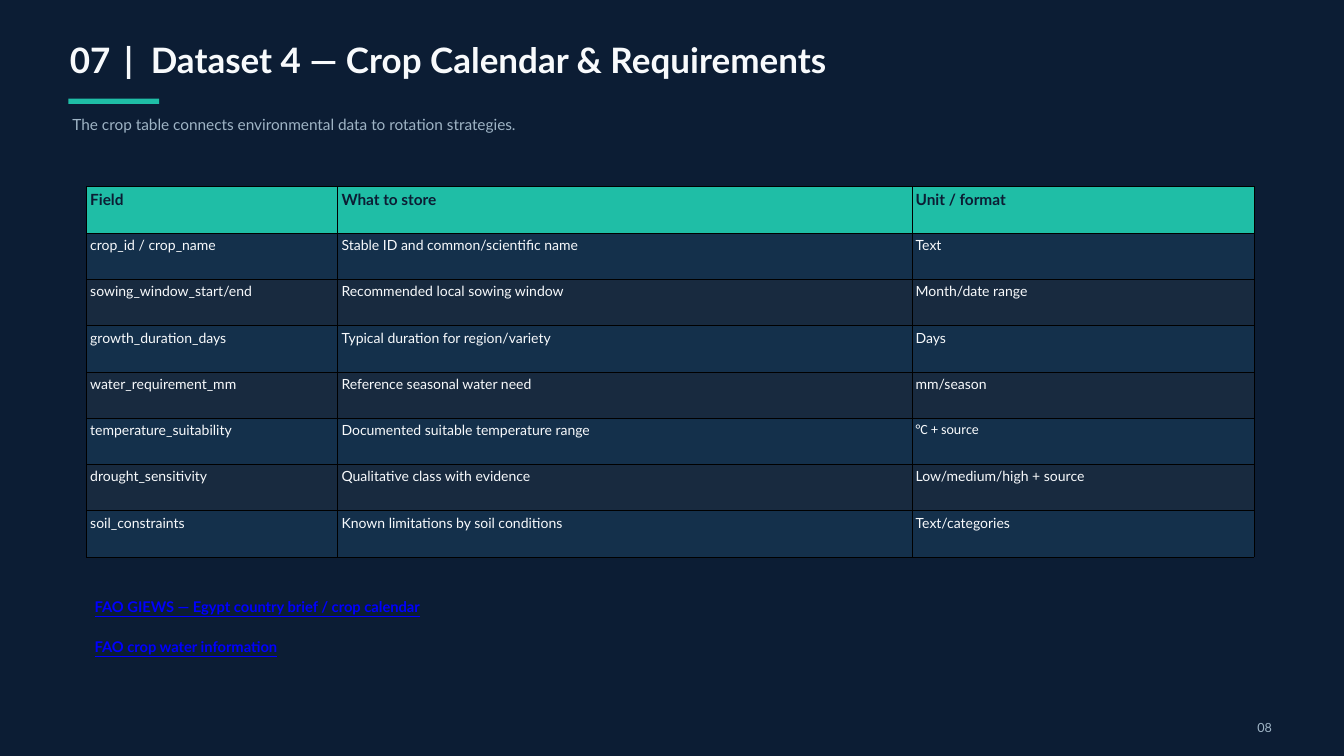
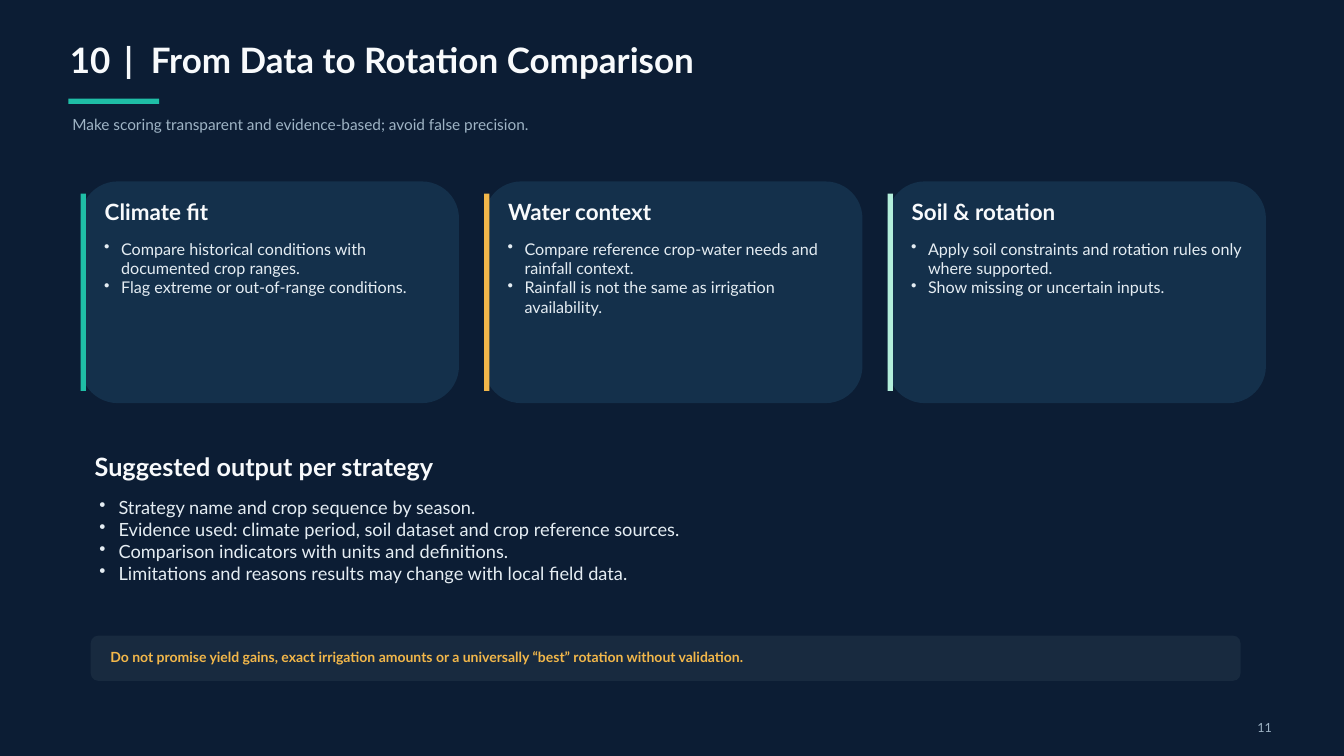
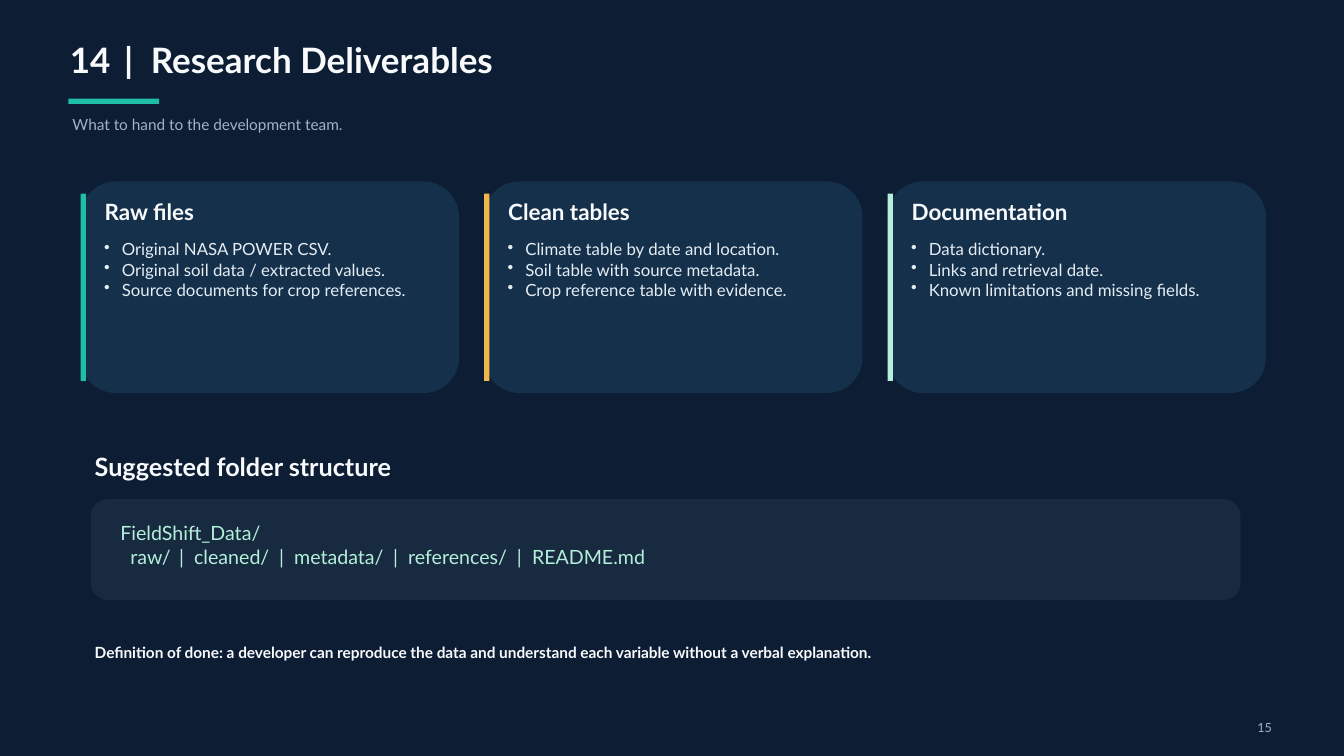
"""Build three slides on crop data, rotation comparison and research deliverables."""
from dataclasses import dataclass
from typing import NamedTuple

from lxml import etree
from pptx import Presentation
from pptx.dml.color import RGBColor
from pptx.enum.shapes import MSO_SHAPE
from pptx.enum.text import PP_ALIGN
from pptx.oxml.ns import qn
from pptx.slide import Slide
from pptx.util import Cm, Pt

RECT = MSO_SHAPE.RECTANGLE
ROUNDED = MSO_SHAPE.ROUNDED_RECTANGLE
LEFT = PP_ALIGN.LEFT
RIGHT = PP_ALIGN.RIGHT

FONT = "Lato"
SYMBOL_FONT = "Calibri"
COLORS = {
    "navy": "0C1D34",
    "card": "14304B",
    "panel": "182A3F",
    "teal": "1FBEA6",
    "amber": "F2B74A",
    "mint": "B4EFDB",
    "white": "F8FAFC",
    "body": "E5EDF3",
    "muted": "9FB4C5",
    "link": "0000FF",
    "border": "000000",
}
LINE_HEIGHT = 1.2
BULLET_INDENT = 0.037
TITLE_TABS = (2.05, 3.06)
FOLDER_TABS = [x + gap for x in (2.22, 6.0, 10.31, 14.99) for gap in (0, 0.57)]

CARD_LEFT, CARD_TOP, CARD_W, CARD_PITCH = 3.05, 6.86, 14.3, 15.25
CARD_ACCENTS = ("teal", "amber", "mint")
BAR_W, BAR_MARGIN = 0.2, 0.46
COLUMN_WIDTHS = (9.5, 21.7, 12.95)
ROW_H, CELL_MARGIN = 1.75, 0.15


class Box(NamedTuple):
    x: float
    y: float
    w: float
    h: float

    def lengths(self) -> list[Cm]:
        return [Cm(value) for value in self]


@dataclass
class Header:
    number: str
    title: str
    subtitle: str
    page: str


@dataclass
class Card:
    title: str
    bullets: list[str]


CROP_FIELDS = [
    ("Field", "What to store", "Unit / format"),
    ("crop_id / crop_name", "Stable ID and common/scientific name", "Text"),
    ("sowing_window_start/end", "Recommended local sowing window", "Month/date range"),
    ("growth_duration_days", "Typical duration for region/variety", "Days"),
    ("water_requirement_mm", "Reference seasonal water need", "mm/season"),
    ("temperature_suitability", "Documented suitable temperature range", "°C + source"),
    ("drought_sensitivity", "Qualitative class with evidence", "Low/medium/high + source"),
    ("soil_constraints", "Known limitations by soil conditions", "Text/categories"),
]
SOURCES = [
    "FAO GIEWS — Egypt country brief / crop calendar",
    "FAO crop water information",
]
COMPARISON_CARDS = [
    Card("Climate fit", [
        "Compare historical conditions with documented crop ranges.",
        "Flag extreme or out-of-range conditions.",
    ]),
    Card("Water context", [
        "Compare reference crop-water needs and rainfall context.",
        "Rainfall is not the same as irrigation availability.",
    ]),
    Card("Soil & rotation", [
        "Apply soil constraints and rotation rules only where supported.",
        "Show missing or uncertain inputs.",
    ]),
]
STRATEGY_OUTPUT = [
    "Strategy name and crop sequence by season.",
    "Evidence used: climate period, soil dataset and crop reference sources.",
    "Comparison indicators with units and definitions.",
    "Limitations and reasons results may change with local field data.",
]
DELIVERABLE_CARDS = [
    Card("Raw files", [
        "Original NASA POWER CSV.",
        "Original soil data / extracted values.",
        "Source documents for crop references.",
    ]),
    Card("Clean tables", [
        "Climate table by date and location.",
        "Soil table with source metadata.",
        "Crop reference table with evidence.",
    ]),
    Card("Documentation", [
        "Data dictionary.",
        "Links and retrieval date.",
        "Known limitations and missing fields.",
    ]),
]
FOLDERS = ["raw/", "cleaned/", "metadata/", "references/", "README.md"]


def rgb(name: str) -> RGBColor:
    return RGBColor.from_string(COLORS[name])


def set_text(tf, lines, *, size, color, bold=False, underline=False, font=FONT,
             align=LEFT, bullets=False, tabs=()) -> None:
    for i, line in enumerate(lines):
        p = tf.paragraphs[0] if i == 0 else tf.add_paragraph()
        p.alignment = align
        p.line_spacing = Pt(size * LINE_HEIGHT)
        pPr = p._p.get_or_add_pPr()
        if bullets:
            indent = Cm(size * BULLET_INDENT)
            pPr.set("marL", str(indent))
            pPr.set("indent", str(-indent))
            etree.SubElement(pPr, qn("a:buChar"), char="•")
        if tabs:
            tab_list = etree.SubElement(pPr, qn("a:tabLst"))
            for tab in tabs:
                etree.SubElement(tab_list, qn("a:tab"), pos=str(Cm(tab)), algn="l")
        r = p.add_run()
        r.text = line
        r.font.name = font
        r.font.size = Pt(size)
        r.font.bold = bold
        r.font.underline = underline
        r.font.color.rgb = rgb(color)


def add_text(s: Slide, box: Box, *lines: str, **style) -> None:
    tf = s.shapes.add_textbox(*box.lengths()).text_frame
    tf.word_wrap = True
    tf.margin_left = tf.margin_right = tf.margin_top = tf.margin_bottom = 0
    set_text(tf, lines, **style)


def add_block(s: Slide, kind: MSO_SHAPE, box: Box, color: str) -> None:
    sp = s.shapes.add_shape(kind, *box.lengths())
    sp.shadow.inherit = False
    sp.fill.solid()
    sp.fill.fore_color.rgb = rgb(color)
    sp.line.fill.background()


def add_slide(prs, header: Header) -> Slide:
    s = prs.slides.add_slide(prs.slide_layouts[6])
    s.background.fill.solid()
    s.background.fill.fore_color.rgb = rgb("navy")
    add_text(s, Box(2.64, 1.45, 45.44, 1.73), f"{header.number}\t|\t{header.title}",
             size=37.5, color="white", bold=True, tabs=TITLE_TABS)
    add_block(s, RECT, Box(2.59, 3.73, 3.43, 0.2), "teal")
    add_text(s, Box(2.74, 4.37, 45.44, 1.17), header.subtitle, size=16.5, color="muted")
    add_text(s, Box(46.28, 27.23, 1.8, 0.61), header.page,
             size=13.5, color="muted", align=RIGHT)
    return s


def add_heading(s: Slide, text: str) -> None:
    add_text(s, Box(3.58, 17.07, 43.54, 1.17), text, size=27, color="white", bold=True)


def add_cards(s: Slide, cards: list[Card], height: float, size: float) -> None:
    for i, (card, accent) in enumerate(zip(cards, CARD_ACCENTS)):
        x = CARD_LEFT + i * CARD_PITCH
        add_block(s, ROUNDED, Box(x, CARD_TOP, CARD_W, height), "card")
        add_block(s, RECT, Box(x, CARD_TOP + BAR_MARGIN, BAR_W, height - 2 * BAR_MARGIN), accent)
        add_text(s, Box(x + 0.91, CARD_TOP + 0.63, 12.65, 1.17), card.title,
                 size=24, color="white", bold=True)
        add_text(s, Box(x + 0.89, CARD_TOP + 2.18, 12.62, height - 2.49), *card.bullets,
                 size=size, color="body", bullets=True)


def set_borders(cell) -> None:
    tcPr = cell._tc.get_or_add_tcPr()
    for i, side in enumerate(("lnL", "lnR", "lnT", "lnB")):
        ln = etree.Element(qn(f"a:{side}"), w=str(Pt(0.37)))
        fill = etree.SubElement(ln, qn("a:solidFill"))
        etree.SubElement(fill, qn("a:srgbClr"), val=COLORS["border"])
        tcPr.insert(i, ln)


def add_field_table(s: Slide, rows: list[tuple[str, ...]]) -> None:
    box = Box(3.26, 7.05, sum(COLUMN_WIDTHS), ROW_H * len(rows))
    table = s.shapes.add_table(len(rows), len(COLUMN_WIDTHS), *box.lengths()).table
    table.horz_banding = False
    for column, width in zip(table.columns, COLUMN_WIDTHS):
        column.width = Cm(width)
    for i, row in enumerate(rows):
        table.rows[i].height = Cm(ROW_H)
        if i == 0:
            fill, style = "teal", dict(size=16.5, color="navy", bold=True)
        else:
            fill, style = "card" if i % 2 else "panel", dict(size=15, color="white")
        for j, text in enumerate(row):
            cell = table.cell(i, j)
            cell.margin_left = cell.margin_right = Cm(CELL_MARGIN)
            cell.margin_top = cell.margin_bottom = Cm(CELL_MARGIN)
            cell.fill.solid()
            cell.fill.fore_color.rgb = rgb(fill)
            set_borders(cell)
            font = SYMBOL_FONT if "°" in text else FONT
            set_text(cell.text_frame, [text], font=font, **style)


def build_crop_calendar(prs) -> None:
    s = add_slide(prs, Header("07", "Dataset 4 — Crop Calendar & Requirements",
                              "The crop table connects environmental data to rotation strategies.",
                              "08"))
    add_field_table(s, CROP_FIELDS)
    for i, source in enumerate(SOURCES):
        add_text(s, Box(3.58, 22.61 + i * 1.52, 43.54, 0.89), source,
                 size=15.75, color="link", bold=True, underline=True)


def build_comparison(prs) -> None:
    s = add_slide(prs, Header("10", "From Data to Rotation Comparison",
                              "Make scoring transparent and evidence-based; avoid false precision.",
                              "11"))
    add_cards(s, COMPARISON_CARDS, height=8.38, size=17.25)
    add_heading(s, "Suggested output per strategy")
    add_text(s, Box(3.76, 18.77, 43.61, 3.28), *STRATEGY_OUTPUT,
             size=19.5, color="body", bullets=True)
    add_block(s, ROUNDED, Box(3.43, 24.03, 43.46, 1.71), "panel")
    add_text(s, Box(4.17, 24.51, 42.01, 0.58),
             "Do not promise yield gains, exact irrigation amounts or a universally "
             "“best” rotation without validation.",
             size=15, color="amber", bold=True)


def build_deliverables(prs) -> None:
    s = add_slide(prs, Header("14", "Research Deliverables",
                              "What to hand to the development team.", "15"))
    add_cards(s, DELIVERABLE_CARDS, height=8, size=18)
    add_heading(s, "Suggested folder structure")
    add_block(s, ROUNDED, Box(3.43, 18.87, 43.46, 3.81), "panel")
    add_text(s, Box(4.55, 19.71, 41.25, 2.13),
             "FieldShift_Data/", "  " + "\t|\t".join(FOLDERS),
             size=21, color="mint", tabs=FOLDER_TABS)
    add_text(s, Box(3.58, 24.31, 43.54, 1.35),
             "Definition of done: a developer can reproduce the data and understand "
             "each variable without a verbal explanation.",
             size=16.5, color="white", bold=True)


def main() -> None:
    prs = Presentation()
    prs.slide_width, prs.slide_height = Cm(50.8), Cm(28.58)
    build_crop_calendar(prs)
    build_comparison(prs)
    build_deliverables(prs)
    prs.save("out.pptx")


if __name__ == "__main__":
    main()
